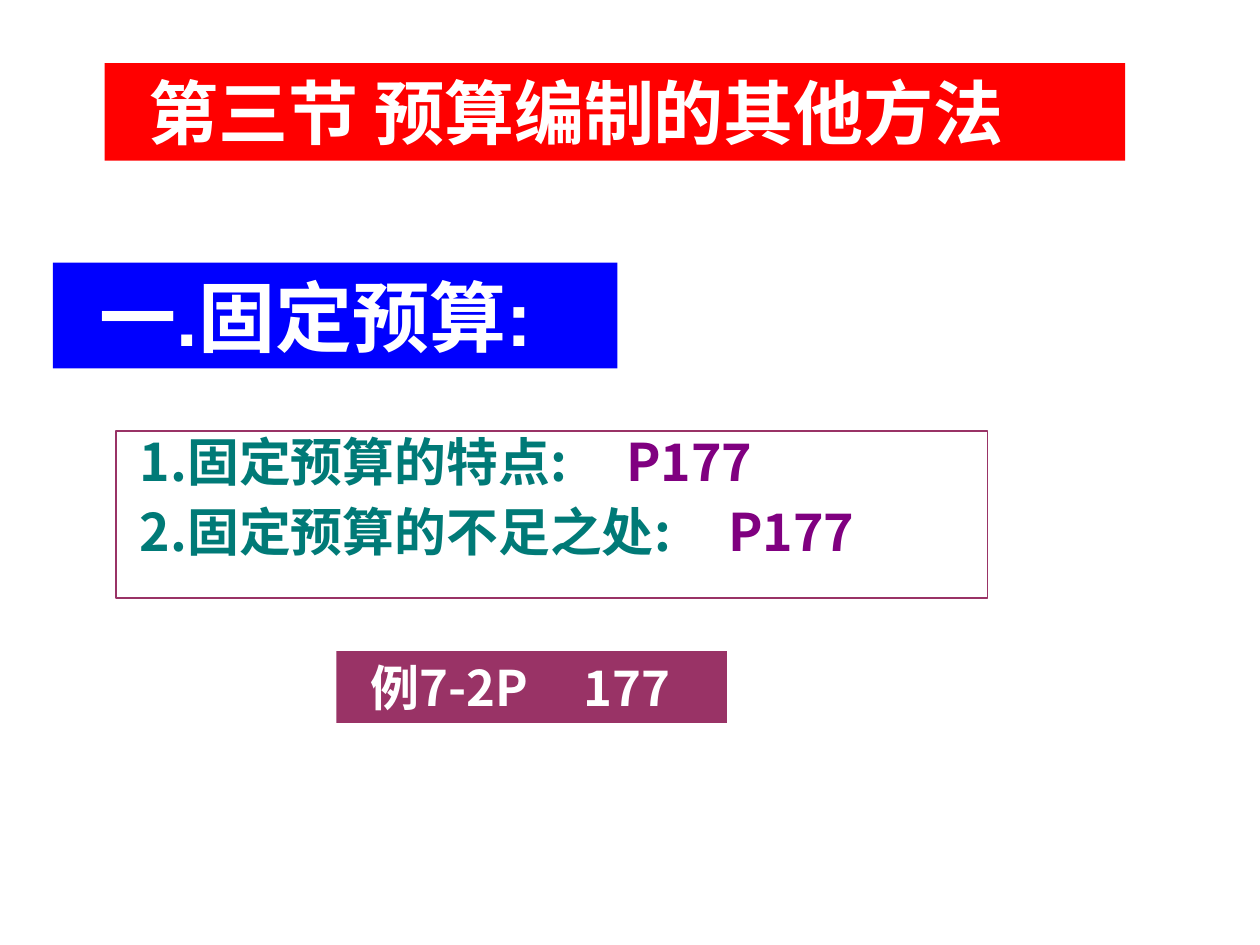
from typing import NamedTuple

from lxml import etree
from pptx import Presentation, util as u
from pptx.dml.color import RGBColor
from pptx.enum import shapes, text
from pptx.oxml.ns import qn

WIDE, HIGH = 10, 7.5
WHITE = RGBColor(255, 255, 255)
RED = RGBColor(255, 0, 0)
BLUE = RGBColor(0, 0, 255)
PLUM = RGBColor(0x99, 0x33, 0x66)
TEAL = RGBColor(0, 0x7A, 0x77)
PURPLE = RGBColor(0x80, 0, 0x80)
SC, JP = "Noto Sans CJK SC", "Noto Sans CJK JP"


class Piece(NamedTuple):
    words: str
    face: str
    color: RGBColor = WHITE


class Line(NamedTuple):
    pieces: list[Piece]
    tab: float = 0


class Box(NamedTuple):
    """Place and size are shares of the slide; inset is in inches."""
    left: float
    top: float
    width: float
    height: float
    inset: float
    size: float
    lines: list[Line]
    fill: RGBColor | None = None


def point(words: str, tab: float) -> Line:
    return Line([Piece(words + "\t", SC, TEAL), Piece("P177", JP, PURPLE)], tab)


BOXES = [
    Box(0.092, 0.456, 0.692, 0.177, 0.19, 29.6,
        [point("1.固定预算的特点:", 3.86), point("2.固定预算的不足之处:", 4.67)]),
    Box(0.083, 0.067, 0.81, 0.103, 0.35, 40,
        [Line([Piece("第三节 预算编制的其他方法", SC)])], RED),
    Box(0.042, 0.278, 0.448, 0.112, 0.37, 44,
        [Line([Piece("一.固定预算:", "Arial")])], BLUE),
    Box(0.267, 0.689, 0.31, 0.076, 0.27, 28,
        [Line([Piece("例7-2P\t177", JP)], 1.69)], PLUM),
]


def set_tab(para, stop: float) -> None:
    tabs = etree.SubElement(para._p.get_or_add_pPr(), qn("a:tabLst"))
    etree.SubElement(tabs, qn("a:tab"), pos=str(u.Inches(stop)), algn="l")


def add_piece(para, piece: Piece, size: float) -> None:
    run = para.add_run()
    run.text = piece.words
    font = run.font
    font.name, font.size, font.bold = piece.face, u.Pt(size), True
    font.color.rgb = piece.color
    asian = SC if piece.face == "Arial" else piece.face
    etree.SubElement(run._r.get_or_add_rPr(), qn("a:ea"), typeface=asian)


def add_box(slide, box: Box) -> None:
    shape = slide.shapes.add_shape(
        shapes.MSO_SHAPE.RECTANGLE,
        u.Inches(box.left * WIDE), u.Inches(box.top * HIGH),
        u.Inches(box.width * WIDE), u.Inches(box.height * HIGH))
    shape.shadow.inherit = False
    frame = shape.text_frame
    frame.word_wrap = True
    frame.margin_left = u.Inches(box.inset)
    if box.fill is None:
        shape.fill.background()
        shape.line.color.rgb = PLUM
        shape.line.width = u.Pt(0.75)
        frame.vertical_anchor = text.MSO_ANCHOR.TOP
    else:
        shape.fill.solid()
        shape.fill.fore_color.rgb = box.fill
        shape.line.fill.background()
        frame.vertical_anchor = text.MSO_ANCHOR.MIDDLE
    for i, line in enumerate(box.lines):
        para = frame.add_paragraph() if i else frame.paragraphs[0]
        para.alignment = text.PP_ALIGN.LEFT
        if len(box.lines) > 1:
            para.line_spacing = 0.9
        if i:
            para.space_before = u.Pt(8)
        if line.tab:
            set_tab(para, line.tab)
        for piece in line.pieces:
            add_piece(para, piece, box.size)


def main() -> None:
    deck = Presentation()
    deck.slide_width, deck.slide_height = u.Inches(WIDE), u.Inches(HIGH)
    slide = deck.slides.add_slide(deck.slide_layouts[6])
    for box in BOXES:
        add_box(slide, box)
    deck.save("out.pptx")


if __name__ == "__main__":
    main()
